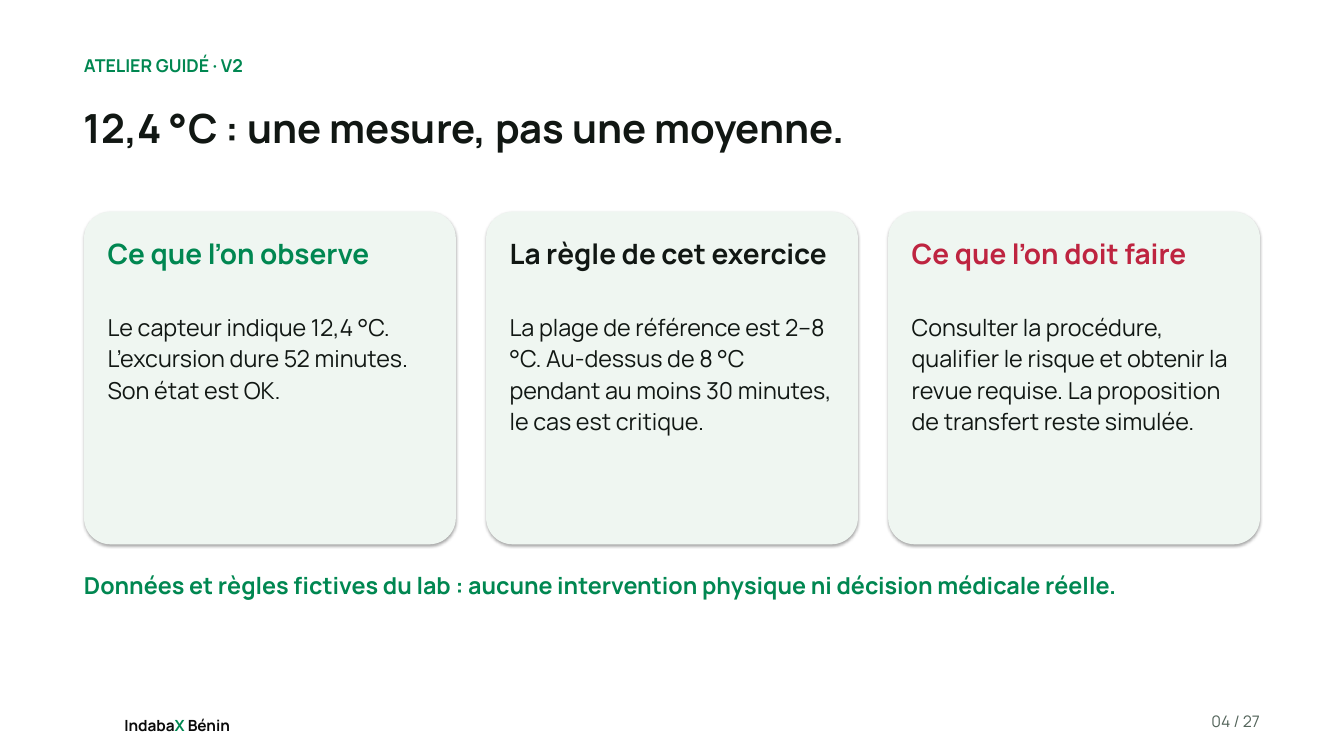
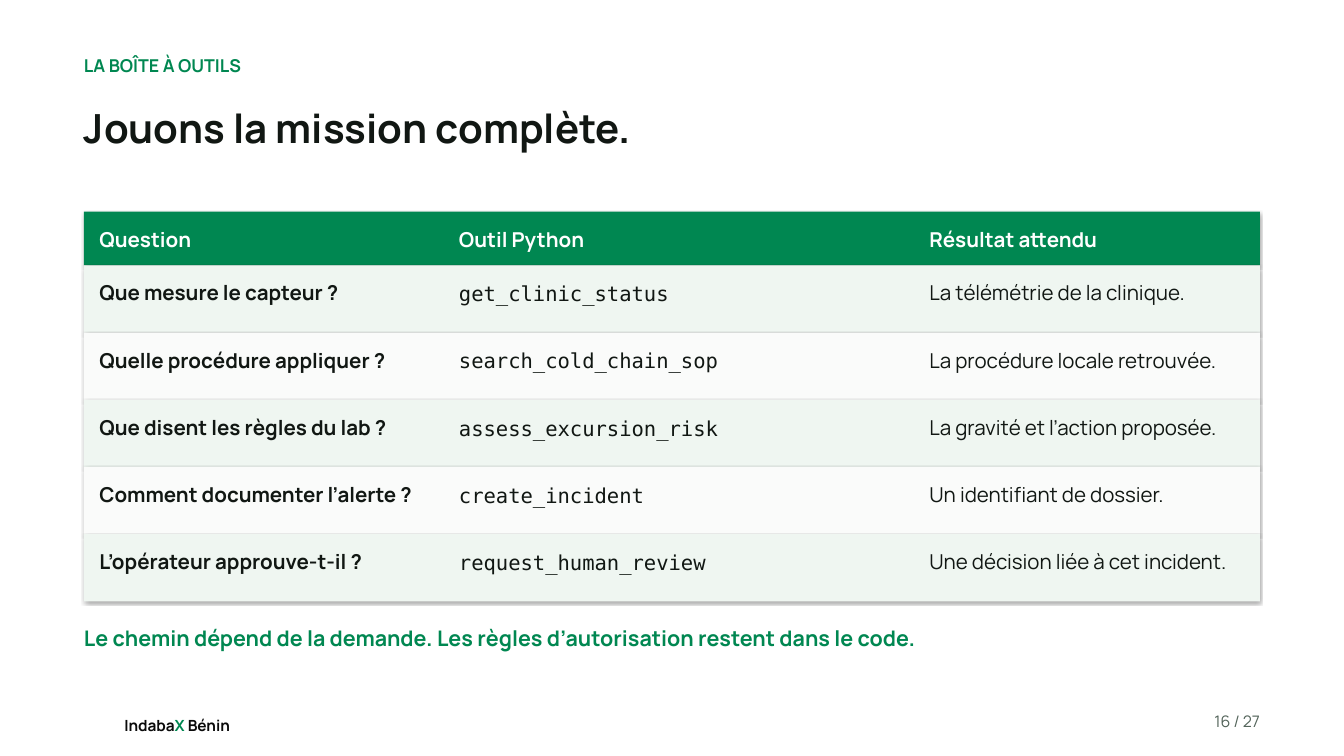
"""Build two workshop slides: three cards and a table of tools."""
from dataclasses import dataclass

from lxml.etree import SubElement
from pptx import Presentation
from pptx.dml.color import RGBColor
from pptx.enum.shapes import MSO_SHAPE
from pptx.enum.text import MSO_AUTO_SIZE, PP_ALIGN
from pptx.oxml.ns import qn
from pptx.util import Inches, Pt


@dataclass(frozen=True)
class Theme:
    """Colours, fonts, type sizes and grid measures shared by the slides."""

    green: str = "008751"
    ink: str = "111713"
    black: str = "0A0A0A"
    red: str = "BE2440"
    grey: str = "53645A"
    white: str = "FFFFFF"
    mint: str = "EFF6F1"
    pale: str = "FAFBFA"
    sans: str = "Manrope"
    mono: str = "DejaVu Sans Mono"
    title: float = 43
    heading: float = 30
    body: float = 25
    conclusion: float = 23
    table: float = 22
    kicker: float = 19
    page: float = 17
    brand: float = 16.5
    columns: float = 20
    rows: float = 11.25
    margin: float = 1.25
    content: float = 17.5
    content_top: float = 3.15


THEME = Theme()
PAGE_COUNT = 27

CARDS = [
    ("Ce que l’on observe", THEME.green,
     "Le capteur indique 12,4 °C. L’excursion dure 52 minutes. Son état est OK."),
    ("La règle de cet exercice", THEME.ink,
     "La plage de référence est 2–8 °C. Au-dessus de 8 °C pendant au moins "
     "30 minutes, le cas est critique."),
    ("Ce que l’on doit faire", THEME.red,
     "Consulter la procédure, qualifier le risque et obtenir la revue requise. "
     "La proposition de transfert reste simulée."),
]

TOOL_ROWS = [
    ("Question", "Outil Python", "Résultat attendu"),
    ("Que mesure le capteur ?", "get_clinic_status", "La télémétrie de la clinique."),
    ("Quelle procédure appliquer ?", "search_cold_chain_sop",
     "La procédure locale retrouvée."),
    ("Que disent les règles du lab ?", "assess_excursion_risk",
     "La gravité et l’action proposée."),
    ("Comment documenter l’alerte ?", "create_incident", "Un identifiant de dossier."),
    ("L’opérateur approuve-t-il ?", "request_human_review",
     "Une décision liée à cet incident."),
]


def apply(target, values):
    """Set every attribute named in values on the target."""
    for name, value in values.items():
        setattr(target, name, value)


def on_grid(*cells):
    """Turn grid columns and rows into slide lengths."""
    return [Inches(cell) for cell in cells]


def write(paragraph, runs, size, bold=False, font=THEME.sans, **layout):
    """Write (text, colour) runs into a paragraph with one type style."""
    apply(paragraph, {"line_spacing": 1.13, "space_after": Pt(7), **layout})
    for text, color in runs:
        run = paragraph.add_run()
        run.text = text
        apply(run.font, {"name": font, "size": Pt(size), "bold": bold})
        run.font.color.rgb = RGBColor.from_string(color)


def add_text(slide, box, runs, size, bold=False, **layout):
    """Add a wrapping text box without insets."""
    frame = slide.shapes.add_textbox(*on_grid(*box)).text_frame
    apply(frame, {"word_wrap": True, "auto_size": MSO_AUTO_SIZE.SHAPE_TO_FIT_TEXT,
                  "margin_left": 0, "margin_right": 0,
                  "margin_top": 0, "margin_bottom": 0})
    write(frame.paragraphs[0], runs, size, bold, **layout)


def add_panel(slide, preset, box, color):
    """Add a borderless filled shape with a soft shadow below it."""
    shape = slide.shapes.add_shape(preset, *on_grid(*box))
    shape.shadow.inherit = False
    shape.fill.solid()
    shape.fill.fore_color.rgb = RGBColor.from_string(color)
    shape.line.fill.background()
    effects = shape.element.spPr.find(qn("a:effectLst"))
    shadow = SubElement(effects, qn("a:outerShdw"), blurRad=str(Pt(3.1)),
                        dist=str(Pt(1.8)), dir="5400000", rotWithShape="0")
    tint = SubElement(shadow, qn("a:srgbClr"), val="000000")
    SubElement(tint, qn("a:alpha"), val="35000")
    return shape


def add_card(slide, left, width, heading, accent, body):
    """Add a rounded card with a coloured heading and a body text."""
    top, inset = THEME.content_top, 0.35
    card = add_panel(slide, MSO_SHAPE.ROUNDED_RECTANGLE, (left, top, width, 4.95),
                     THEME.mint)
    card.adjustments[0] = 0.08
    text_left, text_width = left + inset, width - 2 * inset
    add_text(slide, (text_left, top + 0.3, text_width, 1), [(heading, accent)],
             THEME.heading, True)
    add_text(slide, (text_left, top + 1.45, text_width, 3.3), [(body, THEME.ink)],
             THEME.body)


def add_cards(slide, cards, gap=0.45):
    """Spread equal cards over the content width."""
    width = (THEME.content - gap * (len(cards) - 1)) / len(cards)
    for index, card in enumerate(cards):
        add_card(slide, THEME.margin + index * (width + gap), width, *card)


def clear_cell(cell):
    """Remove the borders and the fill of a table cell."""
    properties = cell._tc.get_or_add_tcPr()
    for side in ("lnL", "lnR", "lnT", "lnB"):
        SubElement(SubElement(properties, qn(f"a:{side}"), w="0"), qn("a:noFill"))
    cell.fill.background()


def cell_style(row, column):
    """Return colour, top inset, weight, font and spacing for a cell's place."""
    if row == 0:
        return THEME.white, 0.15, {"bold": True}
    if column == 1:
        return THEME.ink, 0.21, {"font": THEME.mono, "space_after": Pt(3)}
    return THEME.ink, 0.15, {"bold": column == 0}


def add_bands(slide, heights):
    """Stack the shadowed row bands that carry the table."""
    for row, height in enumerate(heights):
        top = THEME.content_top + sum(heights[:row])
        color = (THEME.pale, THEME.mint)[row % 2] if row else THEME.green
        add_panel(slide, MSO_SHAPE.RECTANGLE,
                  (THEME.margin, top, THEME.content, height), color)


def add_tool_table(slide, rows, widths=(5.35, 7, 5.15)):
    """Add the table of tools over its row bands."""
    heights = [0.8] + [1] * (len(rows) - 1)
    add_bands(slide, heights)
    box = (THEME.margin, THEME.content_top, THEME.content, sum(heights))
    table = slide.shapes.add_table(len(rows), len(widths), *on_grid(*box)).table
    table.horz_banding = False
    for column, width in zip(table.columns, widths):
        column.width = Inches(width)
    for row, texts in enumerate(rows):
        table.rows[row].height = Inches(heights[row])
        for column, text in enumerate(texts):
            cell = table.cell(row, column)
            clear_cell(cell)
            color, inset, style = cell_style(row, column)
            apply(cell, {"margin_left": Inches(0.23), "margin_right": Inches(0.23),
                         "margin_top": Inches(inset), "margin_bottom": 0})
            write(cell.text_frame.paragraphs[0], [(text, color)], THEME.table, **style)


def add_page(presentation, number, kicker, title):
    """Add a slide with its kicker, title, event name and page number."""
    slide = presentation.slides.add_slide(presentation.slide_layouts[6])
    add_panel(slide, MSO_SHAPE.RECTANGLE, (0, 0, THEME.columns, THEME.rows), THEME.white)
    add_text(slide, (1.85, 10.61, 1.73, 0.28),
             [("Indaba", THEME.black), ("X", THEME.green), (" Bénin", THEME.black)],
             THEME.brand, True, line_spacing=Pt(23.1), space_after=Pt(0))
    add_text(slide, (17.35, 10.55, 1.4, 0.4),
             [(f"{number:02} / {PAGE_COUNT}", THEME.grey)], THEME.page,
             alignment=PP_ALIGN.RIGHT)
    add_text(slide, (THEME.margin, 0.78, THEME.content, 0.4),
             [(kicker, THEME.green)], THEME.kicker, True)
    add_text(slide, (THEME.margin, 1.45, THEME.content, 1.5),
             [(title, THEME.ink)], THEME.title, True)
    return slide


def add_conclusion(slide, top, height, text, size):
    """Add the green closing sentence below the content."""
    add_text(slide, (THEME.margin, top, THEME.content, height),
             [(text, THEME.green)], size, True)


def main():
    """Build both slides and save the presentation."""
    presentation = Presentation()
    apply(presentation, {"slide_width": Inches(THEME.columns),
                         "slide_height": Inches(THEME.rows)})

    slide = add_page(presentation, 4, "ATELIER GUIDÉ · V2",
                     "12,4 °C : une mesure, pas une moyenne.")
    add_cards(slide, CARDS)
    add_conclusion(slide, 8.45, 1,
                   "Données et règles fictives du lab : aucune intervention physique "
                   "ni décision médicale réelle.", THEME.body)

    slide = add_page(presentation, 16, "LA BOÎTE À OUTILS", "Jouons la mission complète.")
    add_tool_table(slide, TOOL_ROWS)
    add_conclusion(slide, 9.25, 0.6,
                   "Le chemin dépend de la demande. Les règles d’autorisation "
                   "restent dans le code.", THEME.conclusion)

    presentation.save("out.pptx")


if __name__ == "__main__":
    main()
